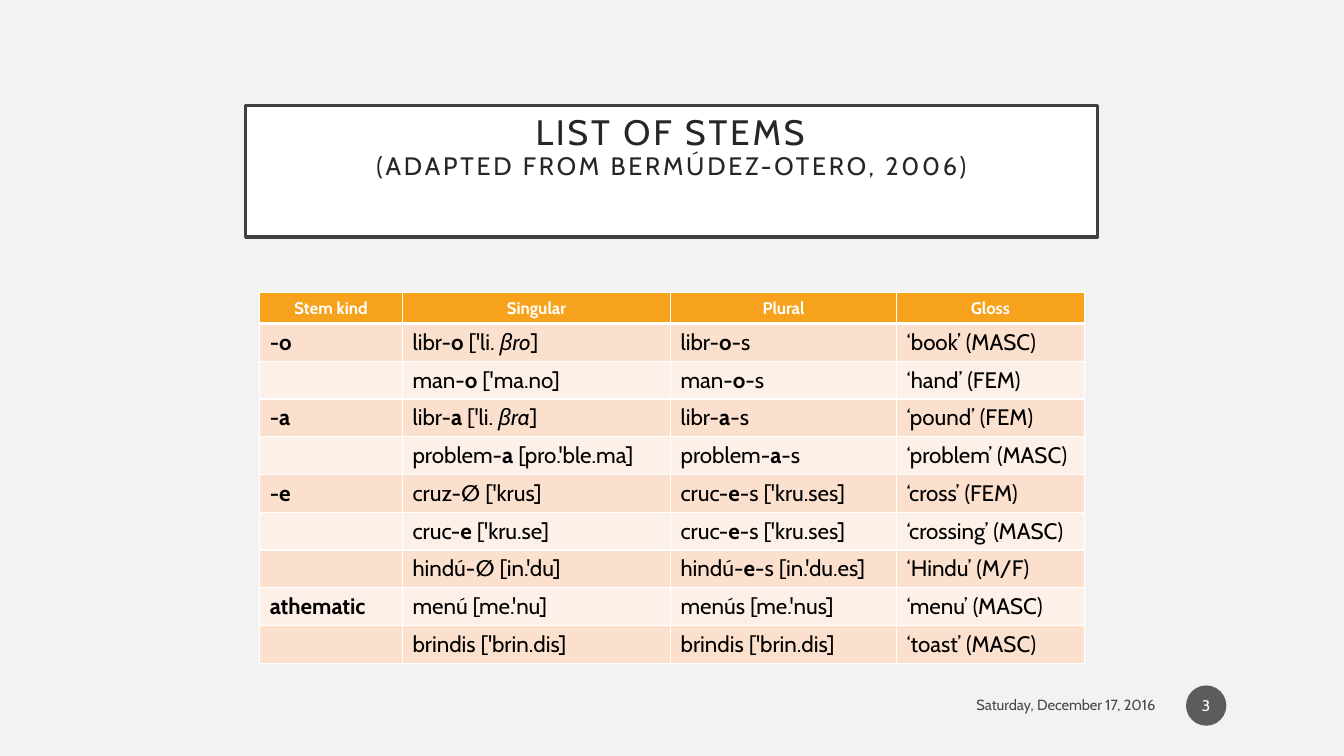
import pptx
import pptx.util
import pptx.dml.color
import pptx.enum.shapes
import pptx.enum.text
import pptx.oxml
import pptx.oxml.ns

Pt = pptx.util.Pt
ALIGN = pptx.enum.text.PP_ALIGN
ANCHOR = pptx.enum.text.MSO_ANCHOR
SHAPE = pptx.enum.shapes.MSO_SHAPE
FONT = "Cabin"
COLORS = {
    "background": "F2F2F2", "white": "FFFFFF", "black": "000000",
    "frame": "404040", "title": "262626", "badge": "1D1D1D",
    "header": "F6A21D", "odd": "FBE0CD", "even": "FDF0E8",
}
HEADERS = ["Stem kind", "Singular", "Plural", "Gloss"]
STEMS = [
    ["*-o*", "libr-*o *['li._ βro_]", "libr-*o*-s", "‘book’ (MASC)"],
    ["", "man-*o *['ma.no]", "man-*o*-s", "‘hand’ (FEM)"],
    ["*-a*", "libr-*a* ['li._ βra_]", "libr-*a*-s", "‘pound’ (FEM)"],
    ["", "problem-*a* [pro.'ble.ma]", "problem-*a*-s", "‘problem’ (MASC)"],
    ["*-e*", "cruz-*∅ *['krus]", "cruc-*e*-s ['kru.ses]", "‘cross’ (FEM)"],
    ["", "cruc-*e *['kru.se]", "cruc-*e*-s ['kru.ses]", "‘crossing’ (MASC)"],
    ["", "hindú-*∅ *[in.'du]", "hindú-*e*-s [in.'du.es]", "‘Hindu’ (M/F)"],
    ["*athematic*", "menú [me.'nu]", "menús [me.'nus]", "‘menu’ (MASC)"],
    ["", "brindis ['brin.dis]", "brindis ['brin.dis]", "‘toast’ (MASC)"],
]
COLUMN_WIDTHS = [102, 191.5, 161.5, 134]
HEADER_HEIGHT = 22
ROW_HEIGHT = 27


def rgb(name):
    return pptx.dml.color.RGBColor.from_string(COLORS[name])


def paint(target, name):
    target.fill.solid()
    target.fill.fore_color.rgb = rgb(name)


def set_alpha(element, percent):
    for color in element.iter(pptx.oxml.ns.qn("a:srgbClr")):
        alpha = color.makeelement(pptx.oxml.ns.qn("a:alpha"), {"val": str(percent * 1000)})
        color.append(alpha)


def style_paragraph(paragraph, size, color, align=ALIGN.LEFT):
    paragraph.alignment = align
    paragraph.font.name = FONT
    paragraph.font.size = Pt(size)
    paragraph.font.color.rgb = rgb(color)


def set_frame(frame, anchor, horizontal, vertical):
    frame.word_wrap = True
    frame.vertical_anchor = anchor
    frame.margin_left = frame.margin_right = Pt(horizontal)
    frame.margin_top = frame.margin_bottom = Pt(vertical)


def add_marked_text(paragraph, text):
    for bold_index, part in enumerate(text.split("*")):
        for italic_index, piece in enumerate(part.split("_")):
            if piece:
                run = paragraph.add_run()
                run.text = piece
                run.font.bold = bold_index % 2 == 1
                run.font.italic = italic_index % 2 == 1


def add_filled_shape(slide, kind, left, top, width, height, fill):
    shape = slide.shapes.add_shape(kind, Pt(left), Pt(top), Pt(width), Pt(height))
    shape.shadow.inherit = False
    paint(shape, fill)
    shape.line.fill.background()
    return shape


def add_title(slide, lines):
    shape = add_filled_shape(slide, SHAPE.RECTANGLE, 175.5, 75.5, 608.5, 94, "white")
    shape.line.color.rgb = rgb("frame")
    shape.line.width = Pt(2.5)
    set_frame(shape.text_frame, ANCHOR.TOP, 14.4, 7)
    paragraph = shape.text_frame.paragraphs[0]
    style_paragraph(paragraph, lines[0][1], "title", ALIGN.CENTER)
    paragraph.line_spacing = 0.9
    for index, (text, size) in enumerate(lines):
        if index:
            paragraph.add_line_break()
        run = paragraph.add_run()
        run.text = text
        run.font.size = Pt(size)
        run.font._element.set("spc", "200")


def add_borders(cell, bottom_width):
    properties = cell._tc.get_or_add_tcPr()
    for side, width in (("L", 1), ("R", 1), ("T", 1), ("B", bottom_width)):
        properties.append(pptx.oxml.parse_xml(
            f'<a:ln{side} {pptx.oxml.ns.nsdecls("a")} w="{Pt(width)}"><a:solidFill>'
            f'<a:srgbClr val="{COLORS["white"]}"/></a:solidFill></a:ln{side}>'))


def fill_cell(cell, text, fill, size, color, align, bottom_width):
    cell.vertical_anchor = ANCHOR.MIDDLE
    cell.margin_top = cell.margin_bottom = Pt(2)
    add_borders(cell, bottom_width)
    paint(cell, fill)
    paragraph = cell.text_frame.paragraphs[0]
    style_paragraph(paragraph, size, color, align)
    add_marked_text(paragraph, text)


def add_stem_table(slide):
    height = HEADER_HEIGHT + ROW_HEIGHT * len(STEMS)
    table = slide.shapes.add_table(
        len(STEMS) + 1, len(HEADERS), Pt(185.5), Pt(209),
        Pt(sum(COLUMN_WIDTHS)), Pt(height)).table
    for column, width in zip(table.columns, COLUMN_WIDTHS):
        column.width = Pt(width)
    for row in table.rows:
        row.height = Pt(ROW_HEIGHT)
    table.rows[0].height = Pt(HEADER_HEIGHT)
    for column, text in enumerate(HEADERS):
        fill_cell(table.cell(0, column), f"*{text}*", "header", 12, "white", ALIGN.CENTER, 3)
    for row, texts in enumerate(STEMS, start=1):
        fill = "odd" if row % 2 else "even"
        for column, text in enumerate(texts):
            fill_cell(table.cell(row, column), text, fill, 16, "black", ALIGN.LEFT, 1)


def add_date(slide, text):
    box = slide.shapes.add_textbox(Pt(615.5), Pt(491), Pt(217), Pt(25))
    set_frame(box.text_frame, ANCHOR.MIDDLE, 7.2, 3.6)
    paragraph = box.text_frame.paragraphs[0]
    paragraph.text = text
    style_paragraph(paragraph, 10.5, "black", ALIGN.RIGHT)
    set_alpha(paragraph._p, 70)


def add_page_number(slide, text):
    badge = add_filled_shape(slide, SHAPE.OVAL, 847.2, 489.6, 28.8, 28.8, "badge")
    set_alpha(badge._element.spPr, 70)
    set_frame(badge.text_frame, ANCHOR.MIDDLE, 1.4, 3.6)
    paragraph = badge.text_frame.paragraphs[0]
    paragraph.text = text
    style_paragraph(paragraph, 11, "white", ALIGN.CENTER)


def main():
    presentation = pptx.Presentation()
    presentation.slide_width = Pt(960)
    presentation.slide_height = Pt(540)
    slide = presentation.slides.add_slide(presentation.slide_layouts[6])
    paint(slide.background, "background")
    add_title(slide, [("LIST OF STEMS", 25.2), ("(ADAPTED FROM BERMÚDEZ-OTERO, 2006)", 18)])
    add_stem_table(slide)
    add_date(slide, "Saturday, December 17, 2016")
    add_page_number(slide, "3")
    presentation.save("out.pptx")


main()
